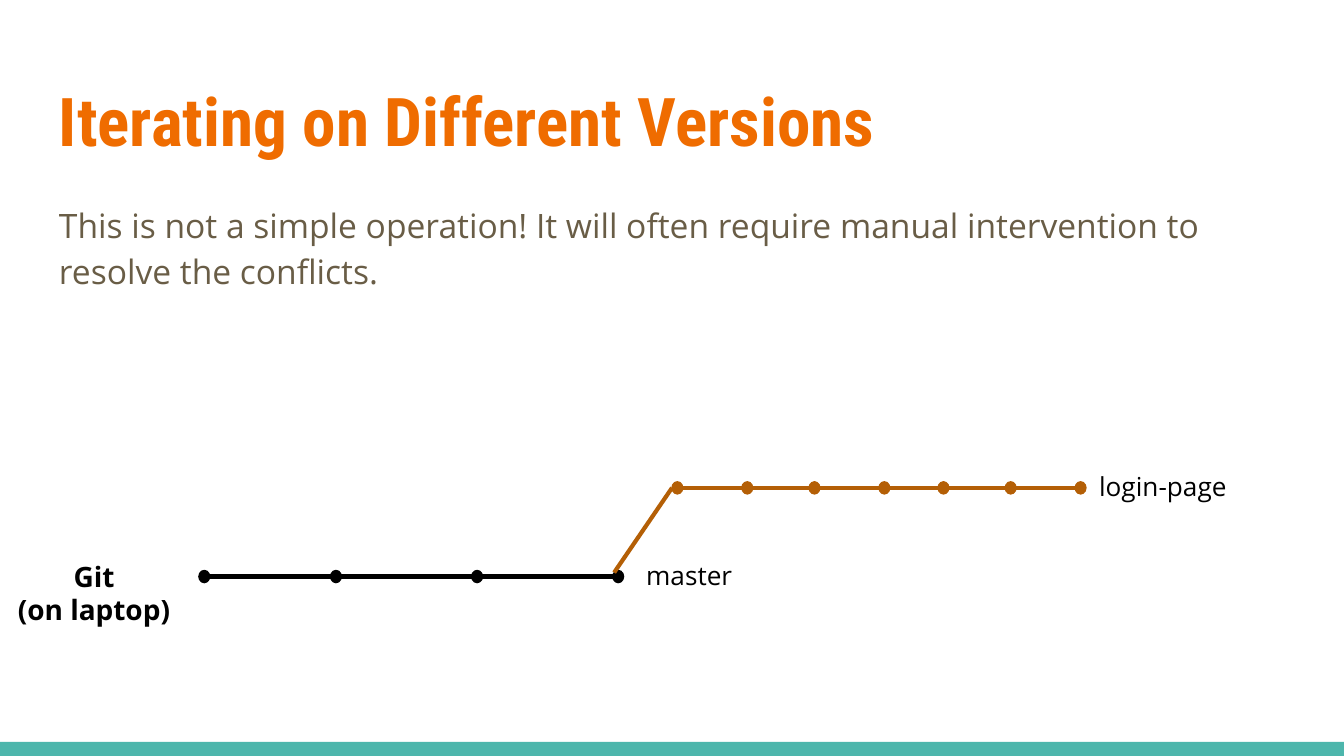
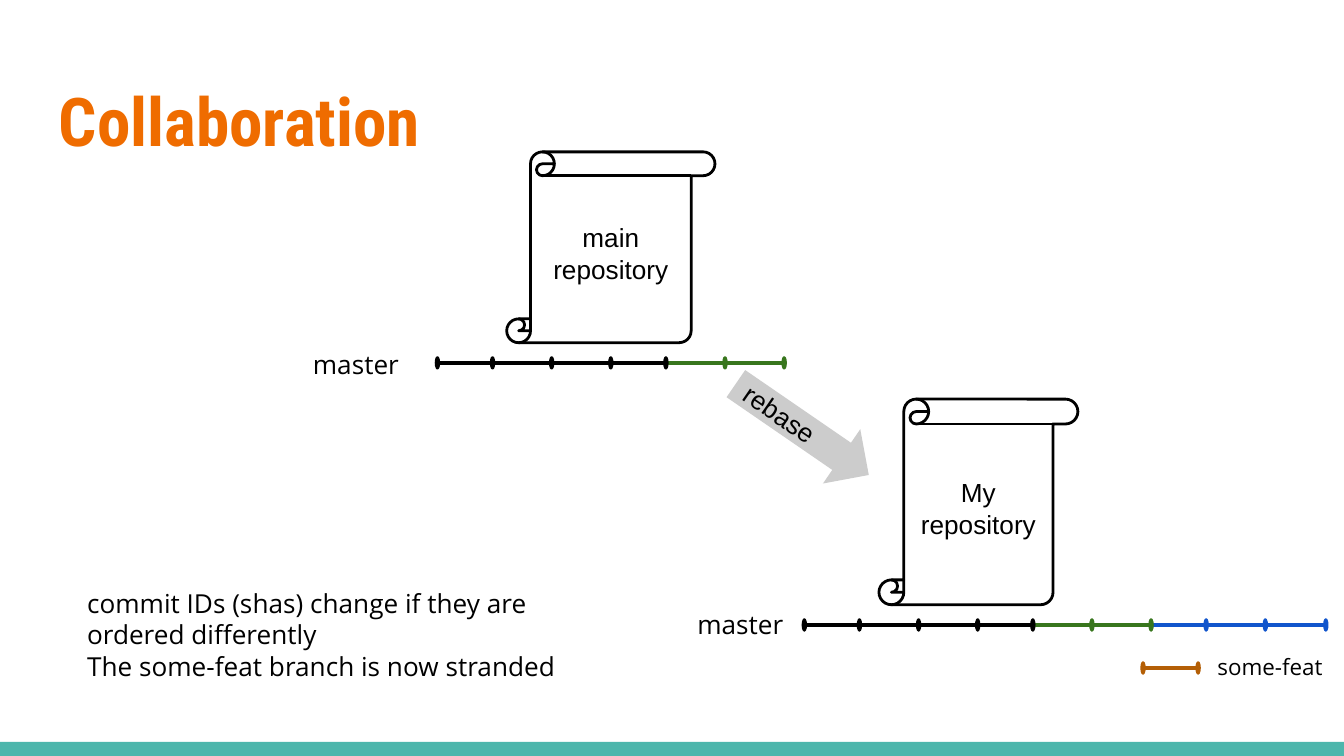
"""Build two slides on Git branches and collaboration."""
from lxml import etree
from pptx import Presentation
from pptx.dml.color import RGBColor
from pptx.enum.shapes import MSO_CONNECTOR, MSO_SHAPE
from pptx.enum.text import MSO_ANCHOR, PP_ALIGN
from pptx.oxml.ns import qn
from pptx.util import Inches, Pt

LEFT, CENTER = PP_ALIGN.LEFT, PP_ALIGN.CENTER
TOP, MIDDLE = MSO_ANCHOR.TOP, MSO_ANCHOR.MIDDLE
RECTANGLE, ELLIPSE = MSO_SHAPE.RECTANGLE, MSO_SHAPE.OVAL
SCROLL, ARROW = MSO_SHAPE.VERTICAL_SCROLL, MSO_SHAPE.RIGHT_ARROW
STRAIGHT = MSO_CONNECTOR.STRAIGHT

TEAL = RGBColor(0x4D, 0xB6, 0xAC)
ORANGE = RGBColor(0xEF, 0x6C, 0x00)
TAUPE = RGBColor(0x69, 0x5D, 0x46)
BLACK = RGBColor(0x00, 0x00, 0x00)
BROWN = RGBColor(0xB4, 0x5F, 0x06)
GREEN = RGBColor(0x38, 0x76, 0x1D)
BLUE = RGBColor(0x11, 0x55, 0xCC)
GRAY = RGBColor(0xCC, 0xCC, 0xCC)

TITLE_FONT, TEXT_FONT, SHAPE_FONT = "Roboto Condensed", "Open Sans", "Arial"
MARGIN = 0.1
DOT_HEIGHT = 0.09
WIDE_DOT, NARROW_DOT = 0.08, 0.03

VERSIONS_TITLE = "Iterating on Different Versions"
VERSIONS_BODY = ["This is not a simple operation! It will often require manual "
                 "intervention to resolve the conflicts."]
MASTER_DOTS = [1.48, 2.46, 3.51, 4.56]
BRANCH_DOTS = [5, 5.52, 6.02, 6.54, 6.98, 7.48, 8]
MASTER_Y, BRANCH_Y = 4.29, 3.63
FORK = (4.57, 4.26)
VERSIONS_LABELS = [
    (["master"], (4.71, 4.06, 1.4, 0.27), {}),
    (["login-page"], (8.08, 3.4, 1.4, 0.27), {}),
    (["Git", "(on laptop)"], (0, 4.06, 1.4, 0.77),
     {"size": 15, "bold": True, "align": CENTER}),
]

COLLABORATION_TITLE = "Collaboration"
COMMIT_OFFSETS = [0, 0.41, 0.85, 1.29, 1.7, 2.14, 2.58, 2.99, 3.43, 3.88]
MAIN_COMMITS = [BLACK] * 5 + [GREEN] * 2
HISTORIES = [
    (3.24, 2.7, MAIN_COMMITS),
    (5.97, 4.65, MAIN_COMMITS + [BLUE] * 3),
    (8.49, 4.97, [BROWN] * 2),
]
REPOSITORIES = [
    ("main repository", (3.77, 1.13, 1.55, 1.42)),
    ("My repository", (6.54, 2.97, 1.48, 1.53)),
]
COLLABORATION_LABELS = [
    (["master"], (2.23, 2.49, 0.88, 0.26), {}),
    (["master"], (5.09, 4.43, 0.88, 0.26), {}),
    (["some-feat"], (8.96, 4.76, 1.04, 0.26), {"size": 12}),
    (["commit IDs (shas) change if they are ordered differently",
      "The some-feat branch is now stranded"], (0.55, 4.27, 4.13, 0.96), {}),
]


def write(shape, lines, size=14, font=TEXT_FONT, color=BLACK, bold=False,
          align=LEFT, anchor=TOP):
    """Fill a shape with evenly formatted paragraphs."""
    frame = shape.text_frame
    frame.text = "\n".join(lines)
    frame.word_wrap = True
    frame.vertical_anchor = anchor
    frame.margin_left = frame.margin_right = Inches(MARGIN)
    frame.margin_top = frame.margin_bottom = Inches(MARGIN)
    for para in frame.paragraphs:
        para.alignment = align
        for span in para.runs:
            span.font.size = Pt(size)
            span.font.name = font
            span.font.bold = bold
            span.font.color.rgb = color


def add_text(page, lines, place, **style):
    """Add a text box and return it."""
    box = page.shapes.add_textbox(*map(Inches, place))
    write(box, lines, **style)
    return box


def add_shape(page, kind, place, fill=None, line=None, width=0.75):
    """Add a flat preset shape; a missing colour means none."""
    shape = page.shapes.add_shape(kind, *map(Inches, place))
    shape.shadow.inherit = False
    if fill is None:
        shape.fill.background()
    else:
        shape.fill.solid()
        shape.fill.fore_color.rgb = fill
    if line is None:
        shape.line.fill.background()
    else:
        shape.line.color.rgb = line
        shape.line.width = Pt(width)
    return shape


def add_line(page, start, end, color):
    """Add a straight line without a shadow."""
    line = page.shapes.add_connector(STRAIGHT, *map(Inches, start + end))
    line.line.color.rgb = color
    line.line.width = Pt(2.25)
    etree.SubElement(line._element.spPr, qn("a:effectLst"))


def add_history(page, lefts, middle, colors, dot_width):
    """Draw commits as dots, each joined to the one before it."""
    for before, left, color in zip(lefts, lefts[1:], colors[1:]):
        add_line(page, (before + dot_width, middle), (left, middle), color)
    for left, color in zip(lefts, colors):
        place = (left, middle - DOT_HEIGHT / 2, dot_width, DOT_HEIGHT)
        add_shape(page, ELLIPSE, place, color, color)


def add_page(deck, title):
    """Add a blank page with the shared band and title."""
    page = deck.slides.add_slide(deck.slide_layouts[6])
    add_shape(page, RECTANGLE, (0, 5.52, 10, 0.11), TEAL)
    add_text(page, [title], (0.34, 0.49, 9.32, 0.77), size=36,
             font=TITLE_FONT, color=ORANGE, bold=True)
    return page


def build_versions(deck):
    """Show a branch leaving master."""
    page = add_page(deck, VERSIONS_TITLE)
    body = add_text(page, VERSIONS_BODY, (0.34, 1.38, 9.32, 0.87),
                    size=18, color=TAUPE)
    para = body.text_frame.paragraphs[0]
    para.line_spacing = 1.15
    para.space_after = Pt(16)
    add_history(page, MASTER_DOTS, MASTER_Y, [BLACK] * len(MASTER_DOTS), WIDE_DOT)
    add_line(page, (BRANCH_DOTS[0], BRANCH_Y), FORK, BROWN)
    add_history(page, BRANCH_DOTS, BRANCH_Y, [BROWN] * len(BRANCH_DOTS), WIDE_DOT)
    for lines, place, style in VERSIONS_LABELS:
        add_text(page, lines, place, **style)


def build_collaboration(deck):
    """Show a rebase between two repositories."""
    page = add_page(deck, COLLABORATION_TITLE)
    for name, place in REPOSITORIES:
        scroll = add_shape(page, SCROLL, place, line=BLACK, width=1.5)
        write(scroll, [name], font=SHAPE_FONT, align=CENTER, anchor=MIDDLE)
    for start, middle, colors in HISTORIES:
        lefts = [start + offset for offset in COMMIT_OFFSETS[:len(colors)]]
        add_history(page, lefts, middle, colors, NARROW_DOT)
    arrow = add_shape(page, ARROW, (5.37, 2.95, 1.2, 0.49), GRAY)
    arrow.rotation = 34.5
    write(arrow, ["rebase"], font=SHAPE_FONT, anchor=MIDDLE)
    for lines, place, style in COLLABORATION_LABELS:
        add_text(page, lines, place, **style)


def main():
    """Build and save the deck."""
    deck = Presentation()
    deck.slide_width = Inches(10)
    deck.slide_height = Inches(10) * 9 // 16
    build_versions(deck)
    build_collaboration(deck)
    deck.save("out.pptx")


if __name__ == "__main__":
    main()
